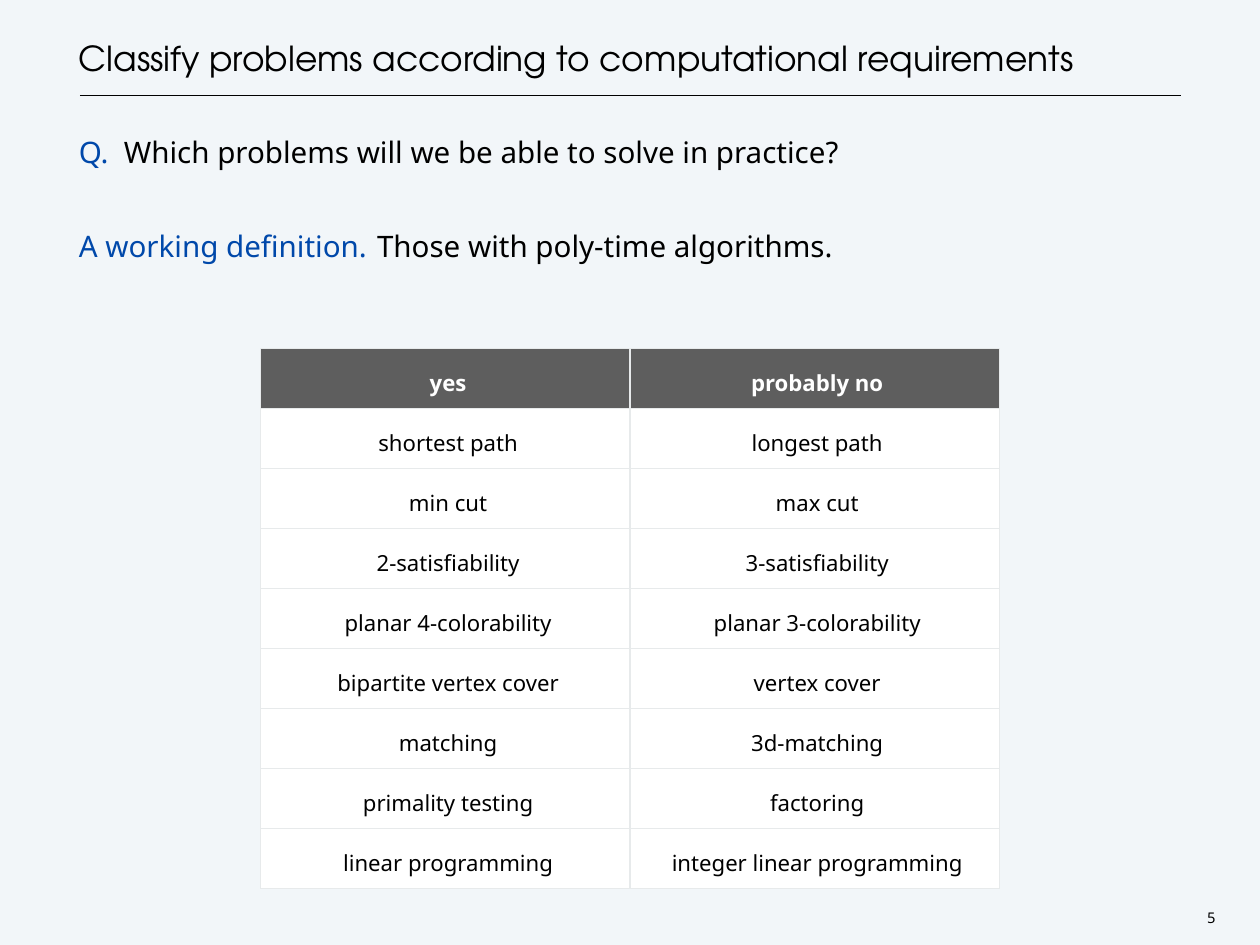
from dataclasses import dataclass

from lxml import etree
from pptx import Presentation
from pptx.dml.color import RGBColor
from pptx.enum.shapes import MSO_CONNECTOR
from pptx.enum.text import MSO_ANCHOR, PP_ALIGN
from pptx.oxml.ns import qn
from pptx.slide import Slide
from pptx.table import _Cell
from pptx.text.text import Font, TextFrame, _Paragraph
from pptx.util import Cm, Length, Pt

STRAIGHT = MSO_CONNECTOR.STRAIGHT
TOP, MIDDLE, BOTTOM = MSO_ANCHOR.TOP, MSO_ANCHOR.MIDDLE, MSO_ANCHOR.BOTTOM
LEFT, CENTER = PP_ALIGN.LEFT, PP_ALIGN.CENTER


@dataclass(frozen=True)
class Theme:
    background: str = "F2F6F9"
    ink: str = "000000"
    accent: str = "0048AA"
    header: str = "5E5E5E"
    paper: str = "FFFFFF"
    border: str = "E7EAEB"
    title_font: str = "TeX Gyre Adventor"
    body_font: str = "Noto Sans"
    title_size: int = 28
    body_size: int = 24
    table_size: int = 18
    number_size: int = 12
    line_width: int = 1


@dataclass(frozen=True)
class Statement:
    lead: str
    text: str
    tab: Length
    space_before: int


@dataclass(frozen=True)
class Area:
    left: Length
    top: Length
    width: Length
    height: Length


THEME = Theme()
LINE_SPACING = Pt(38)

STATEMENTS = [
    Statement("Q.", "Which problems will we be able to solve in practice?", Cm(1.29), 0),
    Statement("A working definition.", "Those with poly-time algorithms.", Cm(8.55), 38),
]

PROBLEMS = [
    ("yes", "probably no"),
    ("shortest path", "longest path"),
    ("min cut", "max cut"),
    ("2-satisfiability", "3-satisfiability"),
    ("planar 4-colorability", "planar 3-colorability"),
    ("bipartite vertex cover", "vertex cover"),
    ("matching", "3d-matching"),
    ("primality testing", "factoring"),
    ("linear programming", "integer linear programming"),
]

TITLE_AREA = Area(Cm(2.26), Cm(0), Cm(31.6), Cm(2.26))
BODY_AREA = Area(Cm(2.26), Cm(3.53), Cm(31.6), Cm(22.7))
NUMBER_AREA = Area(Cm(34.47), Cm(25.96), Cm(0.51), Cm(0.61))


def style_font(font: Font, name: str, size: int, color: str, bold: bool = False) -> None:
    font.name = name
    font.size = Pt(size)
    font.bold = bold
    font.color.rgb = RGBColor.from_string(color)


def add_text_frame(page: Slide, area: Area, anchor: MSO_ANCHOR, margin: Length, wrap: bool) -> TextFrame:
    box = page.shapes.add_textbox(area.left, area.top, area.width, area.height)
    frame = box.text_frame
    frame.word_wrap = wrap
    frame.vertical_anchor = anchor
    frame.margin_left = frame.margin_right = margin
    frame.margin_top = frame.margin_bottom = margin
    return frame


def add_title(page: Slide) -> None:
    frame = add_text_frame(page, TITLE_AREA, BOTTOM, Cm(0), True)
    frame.text = "Classify problems according to computational requirements"
    para = frame.paragraphs[0]
    para.line_spacing = LINE_SPACING
    style_font(para.runs[0].font, THEME.title_font, THEME.title_size, THEME.ink)


def add_title_rule(page: Slide) -> None:
    rule = page.shapes.add_connector(STRAIGHT, Cm(2.29), Cm(2.74), Cm(33.86), Cm(2.74))
    rule.line.color.rgb = RGBColor.from_string(THEME.ink)
    rule.line.width = Pt(THEME.line_width)
    etree.SubElement(rule._element.spPr, qn("a:effectLst"))


def add_tab(para: _Paragraph, position: Length) -> None:
    tabs = etree.SubElement(para._p.get_or_add_pPr(), qn("a:tabLst"))
    etree.SubElement(tabs, qn("a:tab"), pos=str(int(position)), algn="l")


def add_statements(page: Slide) -> None:
    frame = add_text_frame(page, BODY_AREA, TOP, Cm(0), True)
    for index, statement in enumerate(STATEMENTS):
        para = frame.add_paragraph() if index else frame.paragraphs[0]
        add_tab(para, statement.tab)
        para.alignment = LEFT
        para.line_spacing = LINE_SPACING
        para.space_before = Pt(statement.space_before)
        para.text = statement.lead
        para.add_run().text = "\t" + statement.text
        for span, color in zip(para.runs, (THEME.accent, THEME.ink)):
            style_font(span.font, THEME.body_font, THEME.body_size, color)


def add_page_number(page: Slide) -> None:
    frame = add_text_frame(page, NUMBER_AREA, TOP, Cm(0.1), False)
    frame.text = "5"
    para = frame.paragraphs[0]
    para.alignment = CENTER
    para.line_spacing = Pt(14)
    style_font(para.runs[0].font, THEME.body_font, THEME.number_size, THEME.ink)


def add_borders(cell: _Cell) -> None:
    properties = cell._tc.get_or_add_tcPr()
    for side in ("lnL", "lnR", "lnT", "lnB"):
        line = etree.SubElement(properties, qn(f"a:{side}"), w=str(int(Pt(THEME.line_width))))
        fill = etree.SubElement(line, qn("a:solidFill"))
        etree.SubElement(fill, qn("a:srgbClr"), val=THEME.border)


def fill_cell(cell: _Cell, text: str, is_header: bool) -> None:
    add_borders(cell)
    cell.fill.solid()
    cell.fill.fore_color.rgb = RGBColor.from_string(THEME.header if is_header else THEME.paper)
    cell.vertical_anchor = MIDDLE
    cell.margin_left = Cm(0.3)
    cell.margin_right = cell.margin_top = cell.margin_bottom = Cm(0.15)
    cell.text_frame.text = text
    para = cell.text_frame.paragraphs[0]
    para.alignment = CENTER
    para.line_spacing = 1.3
    color = THEME.paper if is_header else THEME.ink
    style_font(para.runs[0].font, THEME.body_font, THEME.table_size, color, is_header)


def add_problem_table(page: Slide) -> None:
    column_width, row_height = Cm(10.58), Cm(1.72)
    rows, columns = len(PROBLEMS), len(PROBLEMS[0])
    frame = page.shapes.add_table(
        rows, columns, Cm(7.48), Cm(10), column_width * columns, row_height * rows
    )
    table = frame.table
    table.horz_banding = False
    for column in table.columns:
        column.width = column_width
    for row_index, problems in enumerate(PROBLEMS):
        table.rows[row_index].height = row_height
        for column_index, problem in enumerate(problems):
            fill_cell(table.cell(row_index, column_index), problem, row_index == 0)


def main() -> None:
    deck = Presentation()
    deck.slide_width = Cm(36.12)
    deck.slide_height = Cm(27.09)
    page = deck.slides.add_slide(deck.slide_layouts[6])
    page.background.fill.solid()
    page.background.fill.fore_color.rgb = RGBColor.from_string(THEME.background)
    add_title_rule(page)
    add_title(page)
    add_statements(page)
    add_page_number(page)
    add_problem_table(page)
    deck.save("out.pptx")


if __name__ == "__main__":
    main()
